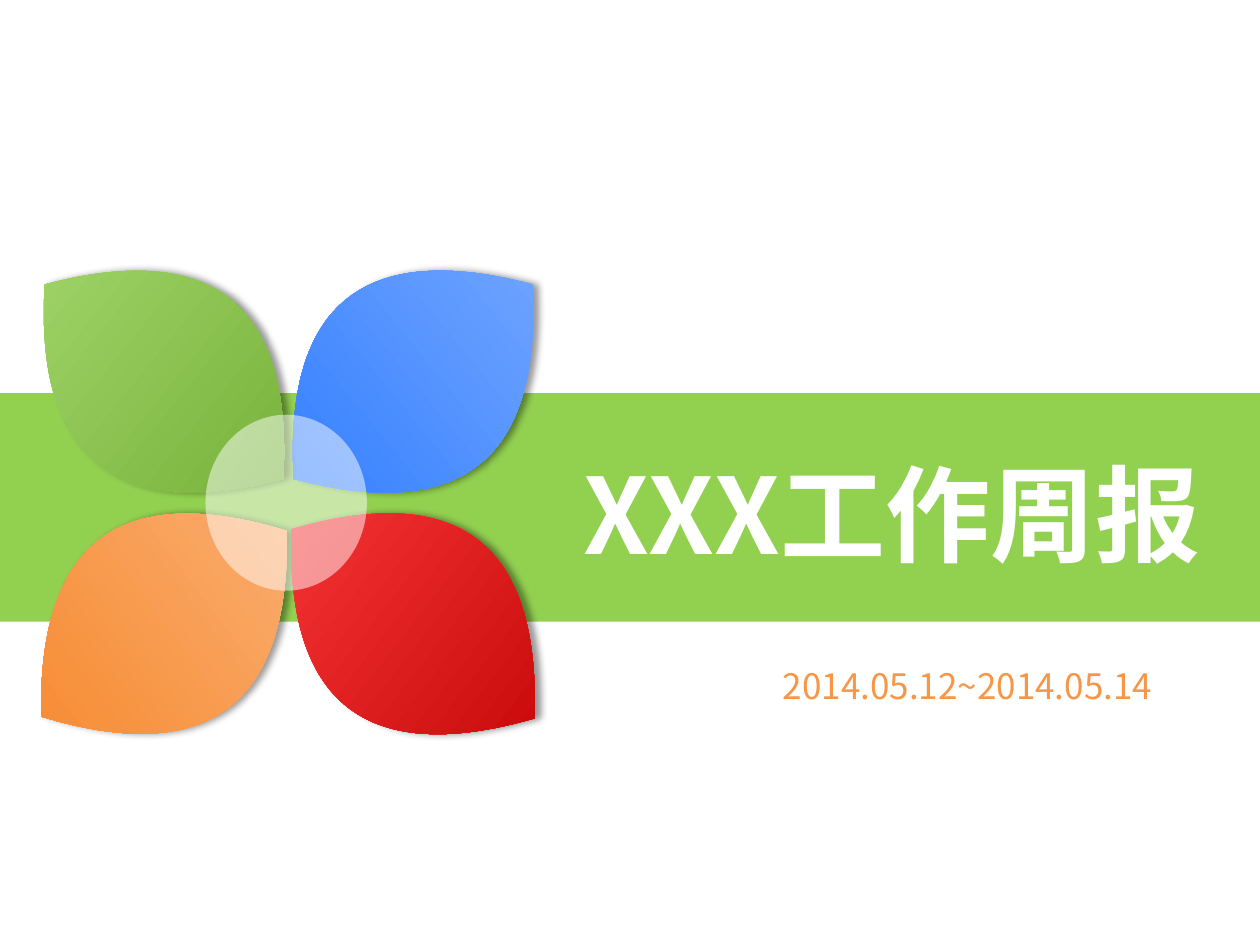
from lxml import etree
from pptx import Presentation
from pptx import util as u
from pptx.dml.color import RGBColor
from pptx.enum import shapes, text
from pptx.oxml.ns import qn

WHITE = RGBColor(0xFF, 0xFF, 0xFF)
BAND_GREEN = RGBColor(0x92, 0xD0, 0x50)
DATE_ORANGE = RGBColor(0xF7, 0x96, 0x46)
BLUES = RGBColor(0x7D, 0xAD, 0xFF), RGBColor(0x26, 0x76, 0xFF)
ORANGES = RGBColor(0xFA, 0xB5, 0x7D), RGBColor(0xF6, 0x84, 0x26)
REDS = RGBColor(0xFF, 0x40, 0x40), RGBColor(0xC0, 0x00, 0x00)
GREENS = RGBColor(0xA8, 0xDA, 0x73), RGBColor(0x6D, 0xAA, 0x2D)

FONT = "Noto Sans CJK SC"
SLIDE_BOX = (0, 0, u.Inches(10), u.Inches(7.5))
CURVE_STEPS = 50

# Column, row, rotation and gradient of each petal, back to front
PETALS = [
    (1, 0, 50.8, BLUES),
    (0, 1, 52.9, ORANGES),
    (1, 1, 307.9, REDS),
    (0, 0, 309.2, GREENS),
]


def part(box, left, top, width, height):
    """Turn shares of a box into slide lengths."""
    x, y, w, h = box
    return (round(x + left * w), round(y + top * h),
            round(width * w), round(height * h))


def fill_plain(shape, color):
    shape.shadow.inherit = False
    shape.fill.solid()
    shape.fill.fore_color.rgb = color
    shape.line.fill.background()


def add_band(slide, box):
    band = slide.shapes.add_shape(shapes.MSO_SHAPE.RECTANGLE, *box)
    fill_plain(band, BAND_GREEN)


def add_label(slide, box, words, color, font_format, frame_format, alignment):
    frame = slide.shapes.add_textbox(*box).text_frame
    for name, value in frame_format.items():
        setattr(frame, name, value)
    paragraph = frame.paragraphs[0]
    paragraph.alignment = alignment
    run = paragraph.add_run()
    run.text = words
    for name, value in font_format.items():
        setattr(run.font, name, value)
    run.font.color.rgb = color
    # East Asian typeface
    etree.SubElement(run.font._element, qn("a:ea"), typeface=FONT)


def add_petal(group, box, rotation, colors):
    left, top, width, height = box
    # Each side is a parabola between the two tips
    steps = [2 * i / CURVE_STEPS - 1 for i in range(CURVE_STEPS + 1)]
    right_side = [(1 - t * t, t) for t in steps]
    left_side = [(t * t - 1, -t) for t in steps[1:-1]]
    points = [(round((x + 1) / 2 * width), round((y + 1) / 2 * height))
              for x, y in right_side + left_side]
    builder = group.shapes.build_freeform(*points[0])
    builder.add_line_segments(points[1:], close=True)
    petal = builder.convert_to_shape(left, top)
    petal.rotation = rotation
    petal.line.fill.background()
    petal.fill.gradient()
    petal.fill.gradient_angle = 270
    for stop, color in zip(petal.fill.gradient_stops, colors):
        stop.color.rgb = color
    # Soft shadow to the right
    petal.shadow.inherit = False
    effects = petal._element.spPr.find(qn("a:effectLst"))
    shadow = etree.SubElement(
        effects, qn("a:outerShdw"), blurRad=str(u.Pt(4)), dist=str(u.Pt(3)),
        dir="0", algn="l", rotWithShape="0")
    black = etree.SubElement(shadow, qn("a:srgbClr"), val="000000")
    etree.SubElement(black, qn("a:alpha"), val="40000")


def add_flower(slide, box):
    group = slide.shapes.add_group_shape()
    petal_width, petal_height = 0.46, 0.56
    for column, row, rotation, colors in PETALS:
        petal_box = part(box, column * (1 - petal_width),
                         row * (1 - petal_height), petal_width, petal_height)
        add_petal(group, petal_box, rotation, colors)
    # Translucent centre
    centre = group.shapes.add_shape(
        shapes.MSO_SHAPE.OVAL, *part(box, 0.32, 0.34, 0.35, 0.32))
    fill_plain(centre, WHITE)
    color = centre._element.spPr.find(qn("a:solidFill"))[0]
    etree.SubElement(color, qn("a:alpha"), val="50000")


def add_cover(presentation, box):
    slide = presentation.slides.add_slide(presentation.slide_layouts[6])
    slide.background.fill.solid()
    slide.background.fill.fore_color.rgb = WHITE
    add_band(slide, part(box, 0, 0.416, 1, 0.242))
    grow = text.MSO_AUTO_SIZE.SHAPE_TO_FIT_TEXT
    # Title
    add_label(slide, part(box, 0.453, 0.469, 0.533, 0.148), "XXX工作周报", WHITE,
              {"name": FONT, "size": u.Pt(60), "bold": True},
              {"word_wrap": False, "auto_size": grow}, text.PP_ALIGN.LEFT)
    # Reporting period
    add_label(slide, part(box, 0.536, 0.697, 0.464, 0.059),
              "2014.05.12~2014.05.14", DATE_ORANGE,
              {"name": FONT, "size": u.Pt(20)},
              {"word_wrap": True, "auto_size": grow}, text.PP_ALIGN.CENTER)
    add_flower(slide, part(box, 0.046, 0.241, 0.366, 0.582))


def main():
    presentation = Presentation()
    presentation.slide_width, presentation.slide_height = SLIDE_BOX[2:]
    add_cover(presentation, SLIDE_BOX)
    presentation.save("out.pptx")


if __name__ == "__main__":
    main()
